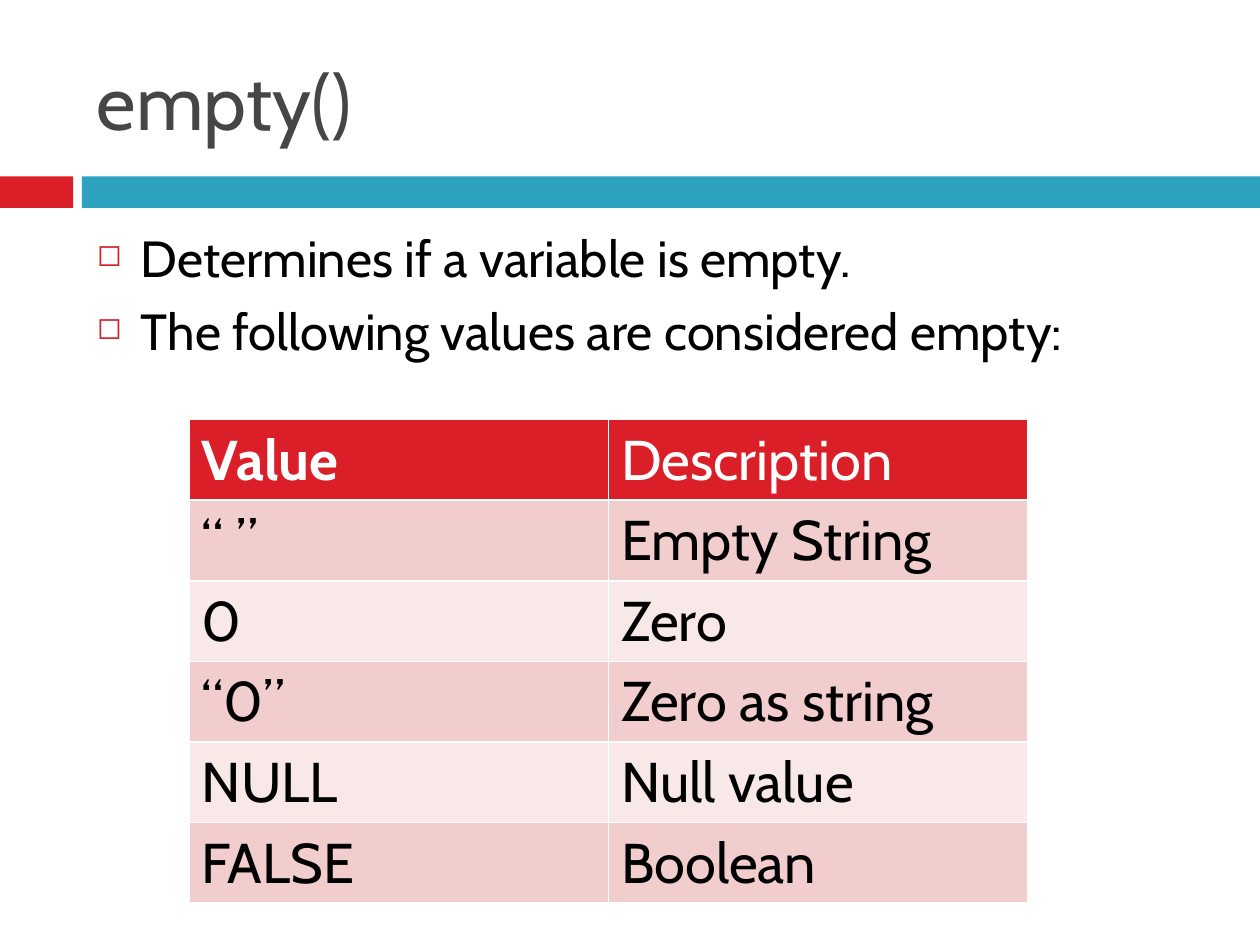
from lxml import etree
from pptx import Presentation
from pptx import util as u
from pptx.dml.color import RGBColor
from pptx.enum import shapes, text
from pptx.oxml import ns

RED, TEAL, GREY, BLACK, WHITE = "DA1F28", "2DA2BF", "464646", "000000", "FFFFFF"
BANDS = ("F1CDCD", "F8E8E8")


def rgb(value):
    return RGBColor.from_string(value)


def add_xml(parent, tag, **attrs):
    return etree.SubElement(parent, ns.qn(tag), attrs)


class SlideBuilder:
    def __init__(self, slide, font):
        self.s = slide
        self.font = font

    def add_words(self, p, words, size, color, bold=False):
        p.add_run().text = words
        f = p.font
        f.name, f.size, f.bold = self.font, u.Pt(size), bold
        f.color.rgb = rgb(color)

    def bar(self, left, top, width, height, color):
        sp = self.s.shapes.add_shape(
            shapes.MSO_SHAPE.RECTANGLE, *map(u.Inches, (left, top, width, height)))
        sp.shadow.inherit = False
        sp.fill.solid()
        sp.fill.fore_color.rgb = rgb(color)
        sp.line.fill.background()

    def frame(self, left, top, width, height, anchor):
        sp = self.s.shapes.add_textbox(*map(u.Inches, (left, top, width, height)))
        tf = sp.text_frame
        tf.word_wrap = True
        tf.vertical_anchor = anchor
        return tf

    def title(self, box, words):
        tf = self.frame(*box, text.MSO_ANCHOR.MIDDLE)
        self.add_words(tf.paragraphs[0], words, 44, GREY)

    def bullets(self, box, lines):
        tf = self.frame(*box, text.MSO_ANCHOR.TOP)
        for i, line in enumerate(lines):
            p = tf.add_paragraph() if i else tf.paragraphs[0]
            p.space_before = u.Pt(7)
            pPr = p._p.get_or_add_pPr()
            pPr.set("marL", str(u.Inches(0.35)))
            pPr.set("indent", str(-u.Inches(0.35)))
            add_xml(add_xml(pPr, "a:buClr"), "a:srgbClr", val=RED)
            add_xml(pPr, "a:buSzPct", val="60000")
            add_xml(pPr, "a:buChar", char="◻")
            self.add_words(p, line, 29, BLACK)

    def borders(self, cell, color, width):
        tcPr = cell._tc.get_or_add_tcPr()
        for side in "LRTB":
            ln = add_xml(tcPr, f"a:ln{side}", w=str(u.Pt(width)))
            add_xml(add_xml(ln, "a:solidFill"), "a:srgbClr", val=color)

    def table(self, left, top, col_width, row_height, rows):
        n_rows, n_cols = len(rows), len(rows[0])
        size = (col_width * n_cols, row_height * n_rows)
        table = self.s.shapes.add_table(
            n_rows, n_cols, *map(u.Inches, (left, top, *size))).table
        for i, row in enumerate(rows):
            for j, words in enumerate(row):
                cell = table.cell(i, j)
                self.borders(cell, WHITE, 1)
                cell.fill.solid()
                cell.fill.fore_color.rgb = rgb(BANDS[(i - 1) % 2] if i else RED)
                self.add_words(cell.text_frame.paragraphs[0], words, 32,
                               BLACK if i else WHITE, bold=i == j == 0)


def main():
    prs = Presentation()
    prs.slide_width, prs.slide_height = u.Inches(10), u.Inches(7.5)
    b = SlideBuilder(prs.slides.add_slide(prs.slide_layouts[6]), "Cabin")

    b.bar(0, 1.4, 0.58, 0.25, RED)
    b.bar(0.65, 1.4, 9.35, 0.25, TEAL)
    b.title((0.67, 0.25, 8.92, 1.08), "empty()")
    b.bullets((0.67, 1.75, 8.92, 4.92), [
        "Determines if a variable is empty.",
        "The following values are considered empty:",
    ])
    b.table(1.5, 3.33, 3.33, 0.64, [
        ("Value", "Description"),
        ("“ ”", "Empty String"),
        ("0", "Zero"),
        ("“0”", "Zero as string"),
        ("NULL", "Null value"),
        ("FALSE", "Boolean"),
    ])
    prs.save("out.pptx")


if __name__ == "__main__":
    main()
